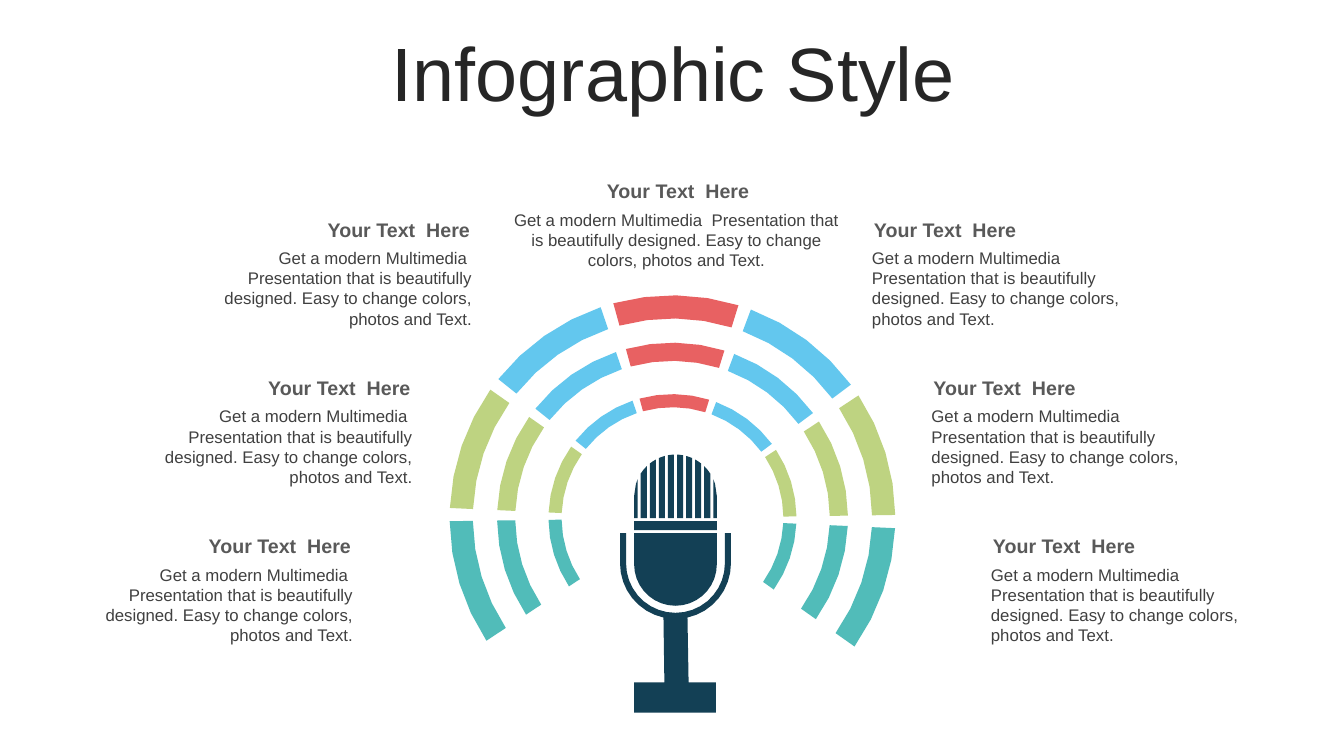
from math import ceil, cos, radians, sin, sqrt
from pptx import Presentation
from pptx.dml.color import RGBColor
from pptx.enum.text import MSO_ANCHOR, MSO_AUTO_SIZE, PP_ALIGN
from pptx.util import Inches, Pt

TITLE = "Infographic Style"
HEADING = "Your Text  Here"
BODY = ("Get a modern Multimedia  Presentation that is beautifully designed. "
        "Easy to change colors, photos and Text.")

COLORS = {"teal": "51BCB9", "green": "BED381", "blue": "63C7EE", "red": "E86162",
          "navy": "134055", "title": "262626", "heading": "595959", "body": "404040"}
FORMATS = {
    "title": {"size": Pt(54), "name": "Arial"},
    "heading": {"size": Pt(14), "name": "Arial", "bold": True},
    "body": {"size": Pt(12), "name": "Arial"},
}

ARC_STEP = 10
WAVE_COLORS = ["teal", "green", "blue", "red", "blue", "green", "teal"]
WAVE_RINGS = [(2.21, 1.98), (1.74, 1.56), (1.23, 1.1)]
WAVE_CENTER = (6.67, 5.14)
WAVE_START, WAVE_STEP, WAVE_SWEEP = -35.2, 36, 32.6

MIC_X = 6.7
HEAD_RADIUS, HEAD_Y, HEAD_BOTTOM = 0.41, 4.92, 5.14
STRIPE_COUNT, STRIPE_STEP, STRIPE_HALF = 10, 0.09, 0.03
BAND = [(6.29, 5.17), (7.11, 5.17), (7.11, 5.26), (6.29, 5.26)]
CUP_TOP, CUP_Y = 5.29, 5.6
YOKE_Y, YOKE_OUTER, YOKE_INNER = 5.59, 0.55, 0.49
STAND = [(6.59, 6.77), (6.29, 6.77), (6.29, 7.07),
         (7.1, 7.07), (7.1, 6.77), (6.83, 6.77)]

ROWS = 3
ROW_TOP, ROW_STEP, ROW_SHIFT = 2.11, 1.57, 0.59
LEFT_X, RIGHT_X = 2.12, 8.55


def arc(center, radius, start, end):
    """Return points along a circle between two angles in degrees."""
    steps = ceil(abs(end - start) / ARC_STEP)
    angles = [radians(start + (end - start) * step / steps) for step in range(steps + 1)]
    return [(center[0] + radius * cos(a), center[1] - radius * sin(a)) for a in angles]


def add_outline(shapes, contours, color):
    """Draw closed contours as one filled freeform."""
    builder = None
    for contour in contours:
        points = [(Inches(x), Inches(y)) for x, y in contour]
        if builder is None:
            builder = shapes.build_freeform(*points[0])
        else:
            builder.move_to(*points[0])
        builder.add_line_segments(points[1:], close=True)
    shape = builder.convert_to_shape()
    shape.shadow.inherit = False
    shape.fill.solid()
    shape.fill.fore_color.rgb = RGBColor.from_string(COLORS[color])
    shape.line.fill.background()


def add_text(shapes, text, box, style, align):
    """Add a wrapped text box in a named style."""
    frame = shapes.add_textbox(*[Inches(length) for length in box]).text_frame
    frame.word_wrap = True
    frame.auto_size = MSO_AUTO_SIZE.NONE if style == "title" else MSO_AUTO_SIZE.SHAPE_TO_FIT_TEXT
    paragraph = frame.paragraphs[0]
    paragraph.alignment = align
    run = paragraph.add_run()
    run.text = text
    for name, value in FORMATS[style].items():
        setattr(run.font, name, value)
    run.font.color.rgb = RGBColor.from_string(COLORS[style])
    return frame


def add_waves(slide):
    """Draw one group of three ring pieces for each sector."""
    for index, color in enumerate(WAVE_COLORS):
        start = WAVE_START + index * WAVE_STEP
        end = start + WAVE_SWEEP
        group = slide.shapes.add_group_shape()
        for outer, inner in WAVE_RINGS:
            piece = arc(WAVE_CENTER, outer, start, end) + arc(WAVE_CENTER, inner, end, start)
            add_outline(group.shapes, [piece], color)


def head_stripe(index):
    """Return one vertical stripe cut by the round microphone head."""
    middle = (index - (STRIPE_COUNT - 1) / 2) * STRIPE_STEP
    left = max(middle - STRIPE_HALF, -HEAD_RADIUS)
    right = min(middle + STRIPE_HALF, HEAD_RADIUS)
    top = [(MIC_X + x, HEAD_Y - sqrt(HEAD_RADIUS ** 2 - x ** 2))
           for x in (left, (left + right) / 2, right)]
    return top + [(MIC_X + right, HEAD_BOTTOM), (MIC_X + left, HEAD_BOTTOM)]


def add_microphone(slide):
    """Draw the microphone as a single freeform."""
    cup = ([(MIC_X - HEAD_RADIUS, CUP_TOP)]
           + arc((MIC_X, CUP_Y), HEAD_RADIUS, 180, 360)
           + [(MIC_X + HEAD_RADIUS, CUP_TOP)])
    yoke = (MIC_X, YOKE_Y)
    holder = ([(MIC_X - YOKE_OUTER, CUP_TOP)]
              + arc(yoke, YOKE_OUTER, 180, 257.5) + STAND
              + arc(yoke, YOKE_OUTER, 282.5, 360)
              + [(MIC_X + YOKE_OUTER, CUP_TOP), (MIC_X + YOKE_INNER, CUP_TOP)]
              + arc(yoke, YOKE_INNER, 360, 180)
              + [(MIC_X - YOKE_INNER, CUP_TOP)])
    stripes = [head_stripe(index) for index in range(STRIPE_COUNT)]
    add_outline(slide.shapes, [cup, holder, BAND] + stripes, "navy")


def add_captions(slide):
    """Add the top caption and the mirrored rows of side captions."""
    captions = [(4.97, 4.94, 1.73, 3.51, 3.54, 0.71, PP_ALIGN.CENTER)]
    for row in range(ROWS):
        top = ROW_TOP + row * ROW_STEP
        left, right = LEFT_X - row * ROW_SHIFT, RIGHT_X + row * ROW_SHIFT
        captions += [(left, left, top, 2.64, 2.66, 0.91, PP_ALIGN.RIGHT),
                     (right + 0.02, right, top, 2.64, 2.66, 0.91, PP_ALIGN.LEFT)]
    for heading_x, body_x, top, heading_width, width, height, align in captions:
        shapes = slide.shapes.add_group_shape().shapes
        add_text(shapes, BODY, (body_x, top + 0.3, width, height), "body", align)
        add_text(shapes, HEADING, (heading_x, top, heading_width, 0.34), "heading", align)


def main():
    """Build the slide and save it."""
    presentation = Presentation()
    presentation.slide_width, presentation.slide_height = Inches(13.33), Inches(7.5)
    slide = presentation.slides.add_slide(presentation.slide_layouts[6])
    title = add_text(slide.shapes, TITLE, (0.35, 0.37, 12.66, 0.79), "title", PP_ALIGN.CENTER)
    title.vertical_anchor = MSO_ANCHOR.MIDDLE
    title.paragraphs[0].line_spacing = 0.9
    add_waves(slide)
    add_microphone(slide)
    add_captions(slide)
    presentation.save("out.pptx")


if __name__ == "__main__":
    main()
